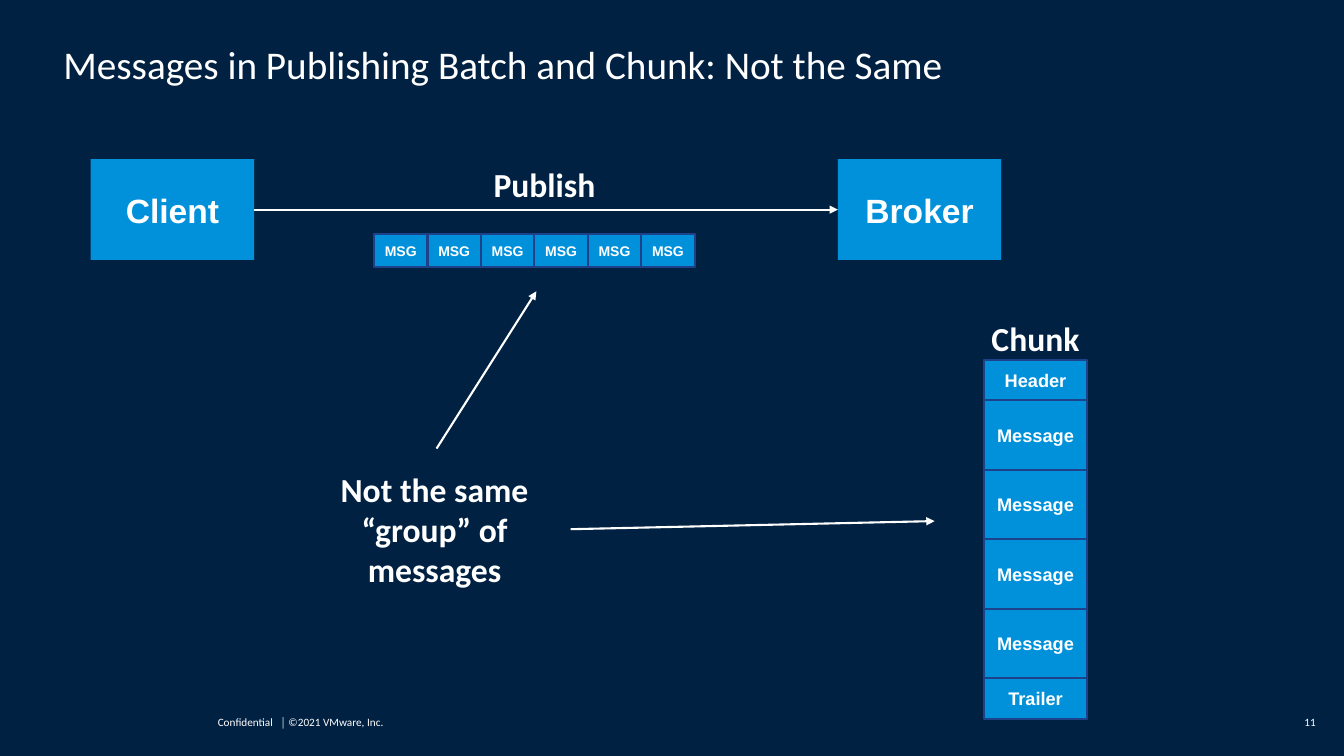
from dataclasses import dataclass

from lxml import etree
from pptx import Presentation
from pptx.dml.color import RGBColor
from pptx.enum.shapes import MSO_CONNECTOR as Link, MSO_SHAPE as Preset
from pptx.enum.text import MSO_ANCHOR as Anchor, PP_ALIGN as Align
from pptx.oxml.ns import qn
from pptx.util import Emu, Pt

PX = 9144  # EMU in one px, 100 px to the inch
COLORS = {"back": "002142", "box": "0091DA", "edge": "1D428A", "white": "FFFFFF"}


@dataclass
class Label:
    text: str
    x: int
    y: int
    w: int
    h: int
    size: int = 24
    font: str = "Calibri"
    bold: bool = True
    align: Align = Align.CENTER
    anchor: Anchor = Anchor.MIDDLE
    inset: int = 10
    spacing: float = 1.0
    tab: int = 0


@dataclass
class Box(Label):
    font: str = "Arial"
    edged: bool = True


@dataclass
class Arrow:
    x1: int
    y1: int
    x2: int
    y2: int


def px(n: int) -> Emu:
    return Emu(n * PX)


def color(name: str) -> RGBColor:
    return RGBColor.from_string(COLORS[name])


def write(shape, item: Label) -> None:
    frame = shape.text_frame
    sides = ("left", "right", "top", "bottom")
    margins = {f"margin_{side}": px(item.inset) for side in sides}
    looks = {"word_wrap": True, "vertical_anchor": item.anchor, **margins}
    for name, value in looks.items():
        setattr(frame, name, value)
    para = frame.paragraphs[0]
    if item.tab:
        tabs = etree.SubElement(para._p.get_or_add_pPr(), qn("a:tabLst"))
        etree.SubElement(tabs, qn("a:tab"), pos=str(px(item.tab)), algn="l")
    para.alignment = item.align
    para.line_spacing = item.spacing
    run = para.add_run()
    run.text = item.text
    for name, value in {"name": item.font, "size": Pt(item.size), "bold": item.bold}.items():
        setattr(run.font, name, value)
    run.font.color.rgb = color("white")


def add_label(slide, item: Label) -> None:
    write(slide.shapes.add_textbox(*map(px, (item.x, item.y, item.w, item.h))), item)


def add_box(slide, item: Box) -> None:
    place = map(px, (item.x, item.y, item.w, item.h))
    shape = slide.shapes.add_shape(Preset.RECTANGLE, *place)
    shape.shadow.inherit = False
    shape.fill.solid()
    shape.fill.fore_color.rgb = color("box")
    if item.edged:
        shape.line.color.rgb = color("edge")
        shape.line.width = Pt(1.5)
    else:
        shape.line.fill.background()
    write(shape, item)


def add_arrow(slide, item: Arrow) -> None:
    ends = map(px, (item.x1, item.y1, item.x2, item.y2))
    line = slide.shapes.add_connector(Link.STRAIGHT, *ends)
    line.line.color.rgb = color("white")
    line.line.width = Pt(1.5)
    etree.SubElement(line.line._get_or_add_ln(), qn("a:tailEnd"), type="triangle")
    etree.SubElement(line._element.spPr, qn("a:effectLst"))


def chunk_boxes(x: int, y: int) -> list[Box]:
    """Stack header, messages and trailer downwards from y."""
    boxes = []
    for text, h in [("Header", 40), *[("Message", 69)] * 4, ("Trailer", 40)]:
        boxes.append(Box(text, x, y, 102, h, size=13))
        y += h
    return boxes


def main() -> None:
    deck = Presentation()
    deck.slide_width, deck.slide_height = px(1333), px(750)
    slide = deck.slides.add_slide(deck.slide_layouts[6])
    slide.background.fill.solid()
    slide.background.fill.fore_color.rgb = color("back")

    plain = {"bold": False, "inset": 0, "spacing": 0.9}
    labels = [
        Label("Confidential\t│ ©2021 VMware, Inc.", 216, 707, 189, 20, size=8,
              align=Align.LEFT, tab=62, **plain),
        Label("11", 1257, 707, 48, 20, size=8, align=Align.RIGHT, **plain),
        Label("Messages in Publishing Batch and Chunk: Not the Same", 63, 45, 1203, 42,
              size=28, align=Align.LEFT, anchor=Anchor.BOTTOM, **plain),
        Label("Publish", 404, 161, 272, 44),
        Label("Chunk", 891, 313, 272, 44),
        Label("Not the same “group” of messages", 295, 503, 272, 44),
    ]
    nodes = [Box(text, x, 158, 162, 100, edged=False)
             for text, x in (("Client", 90), ("Broker", 831))]
    batch = [Box("MSG", 371 + 53 * i, 232, 53, 33, size=10) for i in range(6)]
    arrows = [Arrow(252, 208, 831, 208), Arrow(433, 445, 532, 289),
              Arrow(566, 525, 927, 517)]

    for box in nodes + batch + chunk_boxes(976, 357):
        add_box(slide, box)
    for arrow in arrows:
        add_arrow(slide, arrow)
    for label in labels:
        add_label(slide, label)
    deck.save("out.pptx")


if __name__ == "__main__":
    main()
